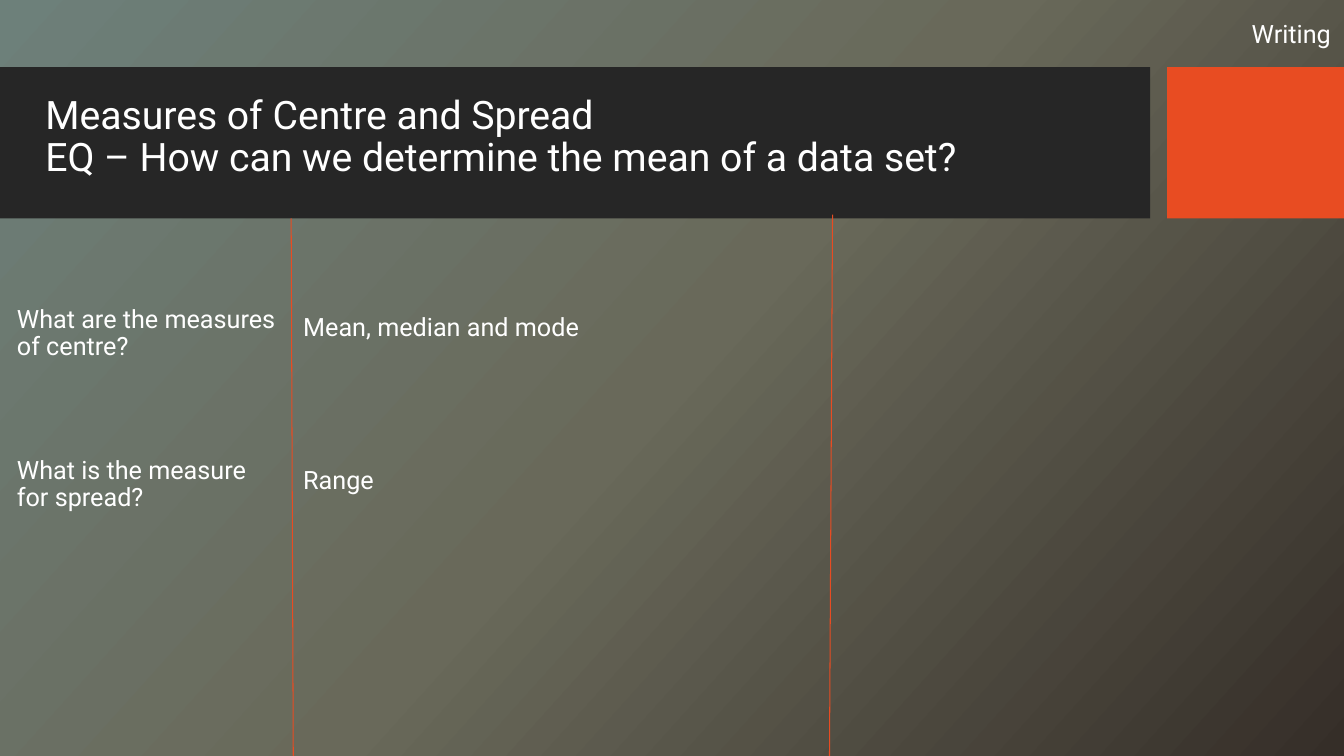
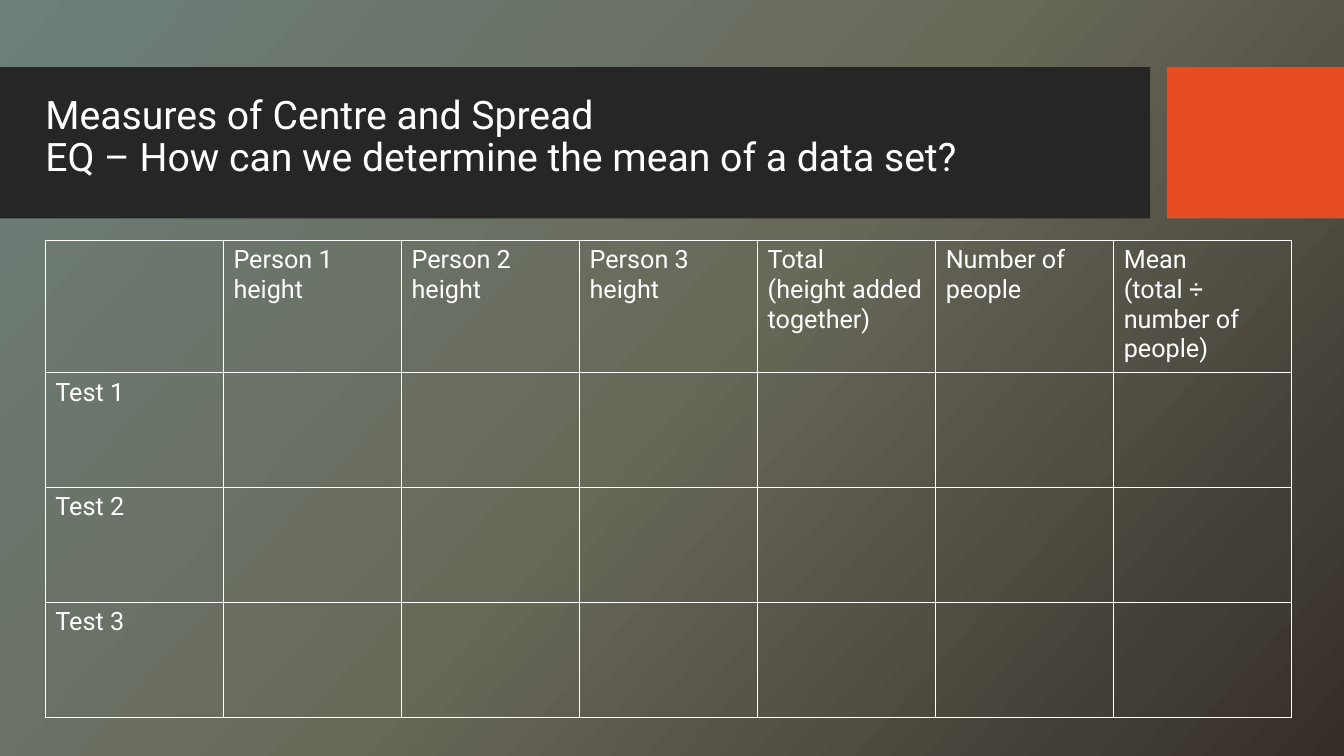
from copy import deepcopy

from lxml import etree
from pptx import Presentation
from pptx.dml.color import RGBColor
from pptx.enum.shapes import MSO_CONNECTOR, MSO_SHAPE
from pptx.enum.text import MSO_ANCHOR, PP_ALIGN
from pptx.oxml.ns import qn
from pptx.util import Pt

RECT, STRAIGHT = MSO_SHAPE.RECTANGLE, MSO_CONNECTOR.STRAIGHT
TOP, LEFT = MSO_ANCHOR.TOP, PP_ALIGN.LEFT

COLORS = {"text": "FFFFFF", "band": "262626", "accent": "E84C22"}
BACKGROUND = [(0, "6D807A"), (0.5, "69695A"), (1, "352E28")]
FONT = "Roboto"
TITLE = "Measures of Centre and Spread\vEQ – How can we determine the mean of a data set?"
BANDS = [(0, 821.5, "band"), (833.75, 126.25, "accent")]


def rgb(name):
    return RGBColor.from_string(COLORS[name])


def write(tf, lines, size=18, **spacing):
    """Fill a text frame, one paragraph a line; space_before skips the first."""
    for i, line in enumerate(lines):
        p = tf.paragraphs[0] if i == 0 else tf.add_paragraph()
        p.text = line
        p.alignment = LEFT
        for key, value in spacing.items():
            if key != "space_before" or i > 0:
                setattr(p, key, value)
        for r in p.runs:
            for key, value in {"name": FONT, "size": Pt(size)}.items():
                setattr(r.font, key, value)
            r.font.color.rgb = rgb("text")


prs = Presentation()
prs.slide_width, prs.slide_height = Pt(960), Pt(540)

# Gradient background, held by the master
fill = prs.slide_master.background.fill
fill.gradient()
fill.gradient_angle = 360 - 42
last = prs.slide_master.element.findall(".//" + qn("a:gs"))[-1]
last.addnext(deepcopy(last))
for stop, (position, color) in zip(fill.gradient_stops, BACKGROUND):
    stop.position = position
    stop.color.rgb = RGBColor.from_string(color)

# Bands and title on both slides
slides = [prs.slides.add_slide(prs.slide_layouts[5]) for _ in range(2)]
for s in slides:
    for left, width, color in BANDS:
        sp = s.shapes.add_shape(RECT, Pt(left), Pt(48), Pt(width), Pt(108))
        sp.shadow.inherit = False
        sp.fill.solid()
        sp.fill.fore_color.rgb = rgb(color)
        sp.line.fill.background()
    title = s.shapes.title
    title.left, title.top, title.width, title.height = Pt(25.2), Pt(64.6), Pt(758), Pt(80)
    title.text_frame.vertical_anchor = TOP
    write(title.text_frame, [TITLE], size=28, line_spacing=0.9)
    s.shapes._spTree.append(title._element)  # in front of the bands

# Slide 1: questions and answers
s = slides[0]
NOTES = [
    ((5, 215.5, 203, 160), ["What are the measures of centre?", "What is the measure for spread?"],
     {"line_spacing": 0.9, "space_before": Pt(69)}),
    ((209.5, 219, 376.5, 150), ["Mean, median and mode", "Range"], {"space_before": Pt(87.5)}),
    ((887, 9.4, 73, 29), ["Writing"], {}),
]
for box, lines, spacing in NOTES:
    tf = s.shapes.add_textbox(*map(Pt, box)).text_frame
    tf.word_wrap = len(lines) > 1
    write(tf, lines, **spacing)

for x1, y1, x2 in [(208, 156, 209.5), (594.7, 153.4, 592.5)]:
    divider = s.shapes.add_connector(STRAIGHT, Pt(x1), Pt(y1), Pt(x2), Pt(540))
    divider.line.color.rgb = rgb("accent")
    divider.line.width = Pt(0.75)
    etree.SubElement(divider._element.spPr, qn("a:effectLst"))

# Slide 2: table of heights
HEADERS = [
    [], ["Person 1", "height"], ["Person 2 height"], ["Person 3 height"],
    ["Total", "(height added together)"], ["Number of people"],
    ["Mean", "(total ÷ number of people)"],
]
ROWS = [HEADERS] + [[[f"Test {n}"]] + [[]] * 6 for n in (1, 2, 3)]
ROW_HEIGHTS = [94.5, 82, 82, 82]

frame = slides[1].shapes.add_table(len(ROWS), len(HEADERS), Pt(32.4), Pt(171.8),
                                   Pt(890.4), Pt(sum(ROW_HEIGHTS)))
table = frame.table
table.first_row = table.horz_banding = False
for col in table.columns:
    col.width = Pt(127.2)
for row, height, cells in zip(table.rows, ROW_HEIGHTS, ROWS):
    row.height = Pt(height)
    for cell, lines in zip(row.cells, cells):
        write(cell.text_frame, lines)
        tcPr = cell._tc.get_or_add_tcPr()
        for side in ("lnL", "lnR", "lnT", "lnB"):
            ln = etree.SubElement(tcPr, qn(f"a:{side}"), w=str(Pt(1)))
            solid = etree.SubElement(ln, qn("a:solidFill"))
            etree.SubElement(solid, qn("a:srgbClr"), val=COLORS["text"])
        etree.SubElement(tcPr, qn("a:noFill"))

prs.save("out.pptx")
